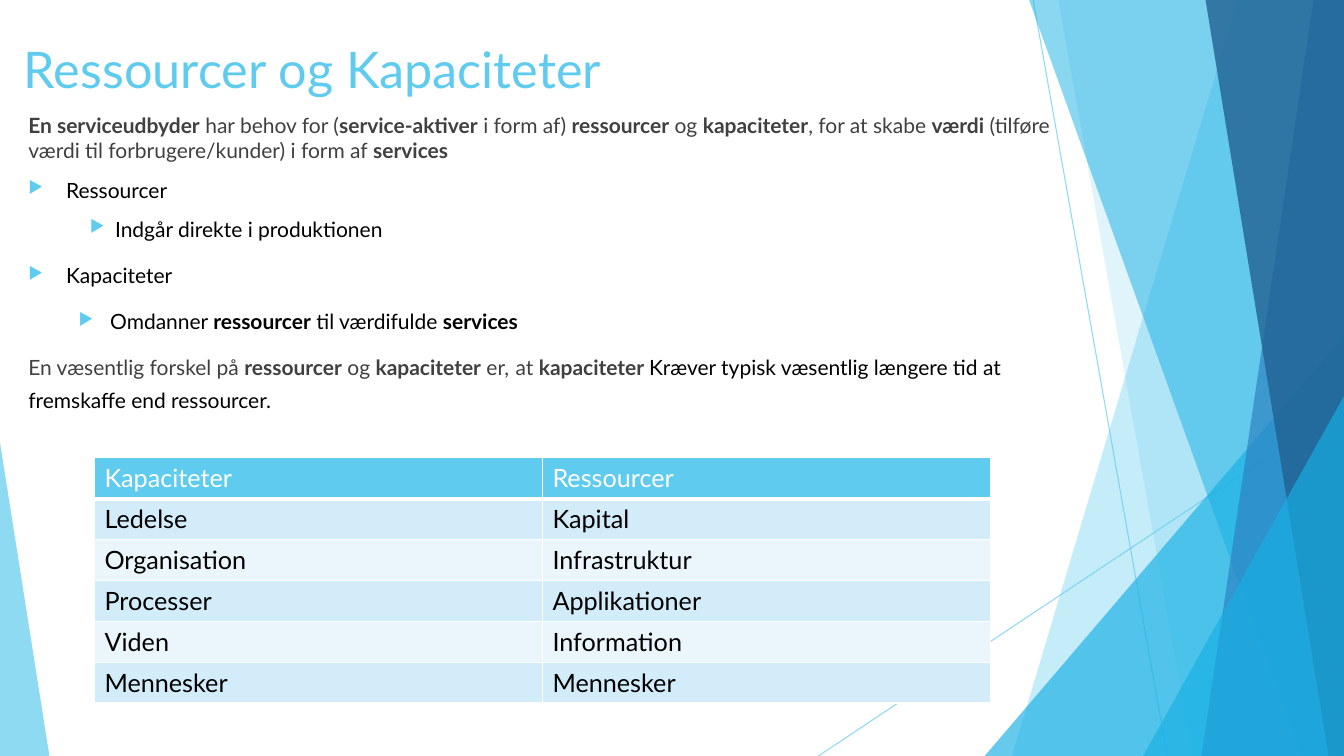
from lxml import etree
from pptx import Presentation, util as u
from pptx.dml.color import RGBColor
from pptx.enum import shapes, text
from pptx.oxml.ns import qn


class Theme:
    font = "Lato"
    title, body, cell, gap = 36, 15, 18, 18
    sky = RGBColor.from_string("5FCBEF")
    cyan = RGBColor.from_string("17B0E4")
    blue = RGBColor.from_string("2E83C3")
    navy = RGBColor.from_string("226292")
    gray = RGBColor.from_string("404040")
    black = RGBColor.from_string("000000")
    white = RGBColor.from_string("FFFFFF")
    bands = [RGBColor.from_string("EAF6FC"), RGBColor.from_string("D2ECF9")]


def put(para, words, size=Theme.body, color=Theme.black):
    """Add runs to a paragraph; each * switches bold on or off."""
    for i, part in enumerate(words.split("*")):
        if part:
            run = para.add_run()
            run.text = part
            run.font.name, run.font.size = Theme.font, u.Pt(size)
            run.font.bold = i % 2 == 1
            run.font.color.rgb = color


def fade(shape, alpha):
    """Set the opacity, in percent, of every colour of a shape."""
    for tint in shape._element.spPr.iter(qn("a:srgbClr")):
        etree.SubElement(tint, qn("a:alpha"), val=str(alpha * 1000))


wide, high = 960, 540
deck = Presentation()
deck.slide_width, deck.slide_height = u.Pt(wide), u.Pt(high)
slide = deck.slides.add_slide(deck.slide_layouts[6])
items = slide.shapes

# Thin lines behind the shards
for ends in [(738, 0, 833.8, high), (wide, 290.2, 584.6, high)]:
    line = items.add_connector(shapes.MSO_CONNECTOR.STRAIGHT, *map(u.Pt, ends))
    line.line.color.rgb = Theme.sky
    line.line.width = u.Pt(0.75)
    fade(line, 70)
    etree.SubElement(line._element.spPr, qn("a:effectLst"))

# Wedges run to the right edge (top x, foot x);
# triangles stand on the bottom edge (left, top, width, tip)
shards = [
    (Theme.sky, 36, (884.2, 722.9)),
    (Theme.sky, 20, (756, 851.8)),
    (Theme.cyan, 66, (703.4, 239.8, 256.6, 1)),
    (Theme.cyan, 50, (735.1, 929.5)),
    (Theme.blue, 70, (938.2, 858.2)),
    (Theme.navy, 80, (861.1, 949)),
    (Theme.cyan, 66, (816.5, 283, 143.5, 1)),
    (Theme.sky, 70, (0, 316.1, 35.3, 0)),
]
for color, alpha, place in shards:
    if len(place) == 2:
        top, foot = map(u.Pt, place)
        edge, base = u.Pt(wide), u.Pt(high)
        pen = items.build_freeform(top, 0)
        pen.add_line_segments([(edge, 0), (edge, base), (foot, base)])
        shard = pen.convert_to_shape()
    else:
        left, top, width, tip = place
        box = map(u.Pt, (left, top, width, high - top))
        shard = items.add_shape(shapes.MSO_SHAPE.ISOSCELES_TRIANGLE, *box)
        shard.adjustments[0] = tip
    shard.shadow.inherit = False
    shard.fill.solid()
    shard.fill.fore_color.rgb = color
    shard.line.fill.background()
    fade(shard, alpha)

# Body: level, bullet indent (left, hang), exact line height, runs
gray = {"color": Theme.gray}
lines = [
    (0, None, None, [("*En serviceudbyder* har behov for (*service-aktiver* i form af) "
                      "*ressourcer* og *kapaciteter*, for at skabe *værdi* (tilføre værdi "
                      "til forbrugere/kunder) i form af *services*", gray)]),
    (0, (27, 27), None, [("Ressourcer", {})]),
    (2, (62, 18), None, [("Indgår direkte i produktionen", {})]),
    (0, (27, 27), 23, [("Kapaciteter", {})]),
    (1, (58.5, 22.5), 23, [("Omdanner *ressourcer* til værdifulde *services*", {})]),
    (0, None, 23, [
        ("En væsentlig forskel på *ressourcer* og *kapaciteter* er,", gray),
        (" ", {"size": Theme.gap, **gray}),
        ("at *kapaciteter *", gray),
        ("Kræver typisk væsentlig længere tid at fremskaffe end ressourcer.", {})]),
]
body = items.add_textbox(*map(u.Pt, (20.2, 77, 733, 305))).text_frame
body.word_wrap = True
body.margin_left = body.margin_right = 0
for i, (level, bullet, height, runs) in enumerate(lines):
    para = body.add_paragraph() if i else body.paragraphs[0]
    para.level = level
    props = para._p.get_or_add_pPr()
    if bullet:
        left, hang = map(u.Pt, bullet)
        props.set("marL", str(left))
        props.set("indent", str(-hang))
        tint = etree.SubElement(props, qn("a:buClr"))
        etree.SubElement(tint, qn("a:srgbClr"), val=str(Theme.sky))
        etree.SubElement(props, qn("a:buSzPct"), val="80000")
        etree.SubElement(props, qn("a:buChar"), char="▶")
    else:
        props.set("marL", "0")
        props.set("indent", "0")
        etree.SubElement(props, qn("a:buNone"))
    if i:
        para.space_before = u.Pt(10)
    if height:
        para.line_spacing = u.Pt(height)
    for words, style in runs:
        put(para, words, **style)

# Table of capabilities and resources
rows = [
    ("Kapaciteter", "Ressourcer"),
    ("Ledelse", "Kapital"),
    ("Organisation", "Infrastruktur"),
    ("Processer", "Applikationer"),
    ("Viden", "Information"),
    ("Mennesker", "Mennesker"),
]
table = items.add_table(len(rows), 2, *map(u.Pt, (67.5, 327, 640, 175.2))).table
for r, row in enumerate(rows):
    for c, words in enumerate(row):
        cell = table.cell(r, c)
        props = cell._tc.get_or_add_tcPr()
        for side in ("lnL", "lnR", "lnT", "lnB"):
            width = 3 if r == 0 and side == "lnB" else 1
            edge = etree.SubElement(props, qn("a:" + side), w=str(u.Pt(width)))
            paint = etree.SubElement(edge, qn("a:solidFill"))
            etree.SubElement(paint, qn("a:srgbClr"), val=str(Theme.white))
        cell.fill.solid()
        cell.fill.fore_color.rgb = Theme.bands[r % 2] if r else Theme.sky
        put(cell.text_frame.paragraphs[0], words, size=Theme.cell,
            color=Theme.black if r else Theme.white)

title = items.add_textbox(*map(u.Pt, (10, 23.8, 677, 104))).text_frame
title.word_wrap = True
title.vertical_anchor = text.MSO_ANCHOR.TOP
put(title.paragraphs[0], "Ressourcer og Kapaciteter", size=Theme.title, color=Theme.sky)

deck.save("out.pptx")
